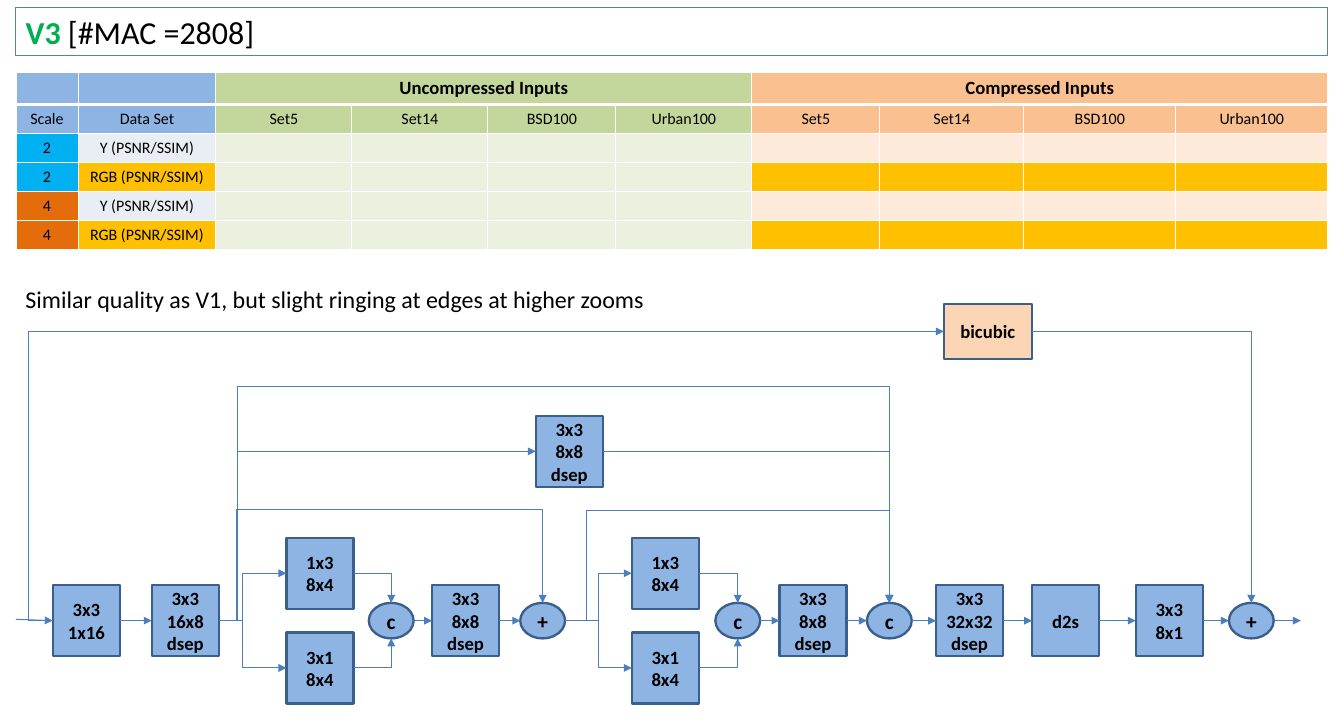
from pptx import Presentation
from pptx.dml.color import RGBColor
from pptx.enum import shapes, text
from pptx.oxml.xmlchemy import OxmlElement
from pptx.util import Pt

COLORS = dict(black="000000", white="FFFFFF", green="00B050", frame="4F81BD",
              outline="3A5F8C", wire="4B7EBC", blue="8EB4E3", peach="FCD5B5",
              leaf="C3D69B", orange="FAC090", pale_leaf="EBF1DE",
              pale_orange="FDEADA", grey="E9EDF4", gold="FFC000",
              cyan="00B0F0", rust="E46C0A")

# Content
TITLE = [("V3", "green", True), (" [#MAC =2808]", "black", False)]
REMARK = "Similar quality as V1, but slight ringing at edges at higher zooms"
SETS = ["Set5", "Set14", "BSD100", "Urban100"]
GROUPS = [("Uncompressed Inputs", "leaf"), ("Compressed Inputs", "orange")]
RESULTS = [("2", "cyan"), ("4", "rust")]
METRICS = [("Y (PSNR/SSIM)", "grey", "pale_orange"),
           ("RGB (PSNR/SSIM)", "gold", "gold")]
COLUMN_WIDTHS = [46.6, 103.4, 102, 102, 96, 102, 96, 108, 114, 114]
ROW_HEIGHTS = [24] + [21.6] * 5

# Network: name -> (kind, text, centre x, centre y)
MAIN, UPPER, LOWER = 465.5, 430, 501
KINDS = {  # shape, width, height, fill, text size
    "layer": (shapes.MSO_SHAPE.RECTANGLE, 50.4, 53.4, "blue", 14),
    "join": (shapes.MSO_SHAPE.OVAL, 33.6, 26.6, "blue", 16),
    "resize": (shapes.MSO_SHAPE.RECTANGLE, 66.2, 41, "peach", 14),
}
NODES = {
    "first": ("layer", "3x3\n1x16", 64.8, MAIN),
    "split": ("layer", "3x3\n16x8\ndsep", 139, MAIN),
    "row_a": ("layer", "1x3\n8x4", 240, UPPER),
    "column_a": ("layer", "3x1\n8x4", 240, LOWER),
    "concat_a": ("join", "c", 293.4, MAIN),
    "mix_a": ("layer", "3x3\n8x8\ndsep", 349.2, MAIN),
    "add_a": ("join", "+", 407, MAIN),
    "row_b": ("layer", "1x3\n8x4", 499, UPPER),
    "column_b": ("layer", "3x1\n8x4", 499, LOWER),
    "concat_b": ("join", "c", 553.3, MAIN),
    "mix_b": ("layer", "3x3\n8x8\ndsep", 609.8, MAIN),
    "concat_c": ("join", "c", 667, MAIN),
    "wide": ("layer", "3x3\n32x32\ndsep", 727.2, MAIN),
    "d2s": ("layer", "d2s", 799.2, MAIN),
    "last": ("layer", "3x3\n8x1", 877, MAIN),
    "add_b": ("join", "+", 938.5, MAIN),
    "skip": ("layer", "3x3\n8x8\ndsep", 427, 338.5),
    "bicubic": ("resize", "bicubic", 740.9, 248.6),
}
# Links: start, start side, end, end side, bend x, bend y
CHAINS = [["first", "split"], ["concat_a", "mix_a", "add_a"],
          ["concat_b", "mix_b", "concat_c", "wide", "d2s", "last", "add_b"]]
LINKS = [(a, "right", b, "left", None, None)
         for chain in CHAINS for a, b in zip(chain, chain[1:])]
for source, part, bend in [("split", "a", 181.8), ("add_a", "b", 448.7)]:
    for layer, side in [("row", "top"), ("column", "bottom")]:
        LINKS += [(source, "right", f"{layer}_{part}", "left", bend, None),
                  (f"{layer}_{part}", "right", f"concat_{part}", side, None, None)]
LINKS += [
    ("split", "right", "add_a", "top", 177.5, 382.3),
    ("add_a", "right", "concat_c", "top", 439.5, 383),
    ("split", "right", "concat_c", "top", 178.5, 290),
    ("split", "right", "skip", "left", 178.5, None),
    ("skip", "right", "concat_c", "top", None, None),
    ("first", "left", "bicubic", "left", 21.6, None),
    ("bicubic", "right", "add_b", "top", None, None),
]
SIDES = {"top": (0, -0.5), "left": (-0.5, 0), "bottom": (0, 0.5), "right": (0.5, 0)}


def color(name):
    return RGBColor.from_string(COLORS[name])


def paint(shape, fill, line, width):
    if fill:
        shape.fill.solid()
        shape.fill.fore_color.rgb = color(fill)
    shape.line.color.rgb = color(line)
    shape.line.width = Pt(width)


def write(paragraph, words, size, bold=False, ink="black", align=None):
    run = paragraph.add_run()
    run.text = words
    for key, value in dict(name="Calibri", size=Pt(size), bold=bold).items():
        setattr(run.font, key, value)
    run.font.color.rgb = color(ink)
    paragraph.alignment = align


def place(shape, *box):
    for key, value in zip(("left", "top", "width", "height"), box):
        setattr(shape, key, Pt(value))


def child(parent, tag, **attributes):
    element = OxmlElement(tag)
    for key, value in attributes.items():
        element.set(key, str(value))
    parent.append(element)
    return element


presentation = Presentation()
presentation.slide_width, presentation.slide_height = Pt(1008), Pt(540)
slide = presentation.slides.add_slide(presentation.slide_layouts[5])
CENTER = text.PP_ALIGN.CENTER

# Title
title = slide.shapes.title
place(title, 12, 5.8, 984, 36)
paint(title, None, "frame", 0.75)
title.text_frame.vertical_anchor = text.MSO_ANCHOR.TOP
title.text_frame.auto_size = text.MSO_AUTO_SIZE.NONE
for words, ink, bold in TITLE:
    write(title.text_frame.paragraphs[0], words, 24, bold, ink, text.PP_ALIGN.LEFT)

# Results table: rows of (text, fill)
rows = [[("", "blue")] * 2 + [cell for name, fill in GROUPS
                              for cell in [(name, fill)] + [("", fill)] * 3],
        [("Scale", "blue"), ("Data Set", "blue")]
        + [(name, fill) for _, fill in GROUPS for name in SETS]]
rows += [[scale, (metric, fill)] + [("", "pale_leaf")] * 4 + [("", right)] * 4
         for scale in RESULTS for metric, fill, right in METRICS]
frame = slide.shapes.add_table(len(rows), len(COLUMN_WIDTHS), Pt(12), Pt(54),
                               Pt(sum(COLUMN_WIDTHS)), Pt(sum(ROW_HEIGHTS)))
table = frame.table
table.first_row = table.horz_banding = False
for column, width in zip(table.columns, COLUMN_WIDTHS):
    column.width = Pt(width)
for row, height in zip(table.rows, ROW_HEIGHTS):
    row.height = Pt(height)
for r, row in enumerate(rows):
    size = 12 if r else 14
    for c, (words, fill) in enumerate(row):
        cell = table.cell(r, c)
        cell.vertical_anchor = text.MSO_ANCHOR.MIDDLE
        paragraph = cell.text_frame.paragraphs[0]
        if words:
            write(paragraph, words, size, r == 0, align=CENTER)
        else:
            child(paragraph._p, "a:endParaRPr", sz=size * 100)
        properties = cell._tc.get_or_add_tcPr()
        for edge in "LRTB":
            thick = (r, edge) in [(0, "B"), (1, "T")]
            border = child(properties, f"a:ln{edge}", w=Pt(3 if thick else 1))
            child(child(border, "a:solidFill"), "a:srgbClr", val=COLORS["white"])
        cell.fill.solid()
        cell.fill.fore_color.rgb = color(fill)
for first in (2, 6):
    table.cell(0, first).merge(table.cell(0, first + 3))

# Remark
remark = slide.shapes.add_textbox(Pt(12), Pt(210), Pt(508), Pt(29))
remark.text_frame.word_wrap = True
write(remark.text_frame.paragraphs[0], REMARK, 18)

# Network nodes
nodes = {}
for name, (kind, words, x, y) in NODES.items():
    preset, width, height, fill, size = KINDS[kind]
    shape = slide.shapes.add_shape(preset, Pt(x - width / 2), Pt(y - height / 2),
                                   Pt(width), Pt(height))
    shape.shadow.inherit = False
    paint(shape, fill, "outline", 1.75)
    shape.text_frame.vertical_anchor = text.MSO_ANCHOR.MIDDLE
    for i, line in enumerate(words.split("\n")):
        paragraph = shape.text_frame.add_paragraph() if i else shape.text_frame.paragraphs[0]
        write(paragraph, line, size, True, align=CENTER)
    nodes[name] = shape


# Network links
def site(name, side):
    kind, _, x, y = NODES[name]
    dx, dy = SIDES[side]
    return x + dx * KINDS[kind][1], y + dy * KINDS[kind][2]


def connect(start, end, preset="line"):
    connector = slide.shapes.add_connector(shapes.MSO_CONNECTOR.STRAIGHT,
                                           *map(Pt, start + end))
    paint(connector, None, "wire", 0.75)
    child(connector.line._get_or_add_ln(), "a:tailEnd", type="triangle")
    child(connector._element.spPr, "a:effectLst")
    connector._element.spPr.prstGeom.set("prst", preset)
    return connector


def glue(connector, tag, name, side):
    step = 2 if NODES[name][0] == "join" else 1  # ovals have eight sites
    child(connector._element.nvCxnSpPr.cNvCxnSpPr, tag,
          id=nodes[name].shape_id, idx=list(SIDES).index(side) * step)


for source, out, target, into, bend_x, bend_y in LINKS:
    start, end = site(source, out), site(target, into)
    bends = [(bend - a) / (b - a) for bend, a, b in zip((bend_x, bend_y), start, end)
             if bend is not None]
    straight = into == "left" and not bends
    segments = len(bends) + 2
    connector = connect(start, end, "line" if straight else f"bentConnector{segments}")
    glue(connector, "a:stCxn", source, out)
    glue(connector, "a:endCxn", target, into)
    guides = connector._element.spPr.prstGeom.get_or_add_avLst()
    for i, bend in enumerate(bends, 1):
        child(guides, "a:gd", name=f"adj{i}" if segments > 3 else "adj1",
              fmla=f"val {round(bend * 100000)}")
connect((12, 464.5), site("first", "left"))
connect(site("add_b", "right"), (975.6, MAIN))

presentation.save("out.pptx")
